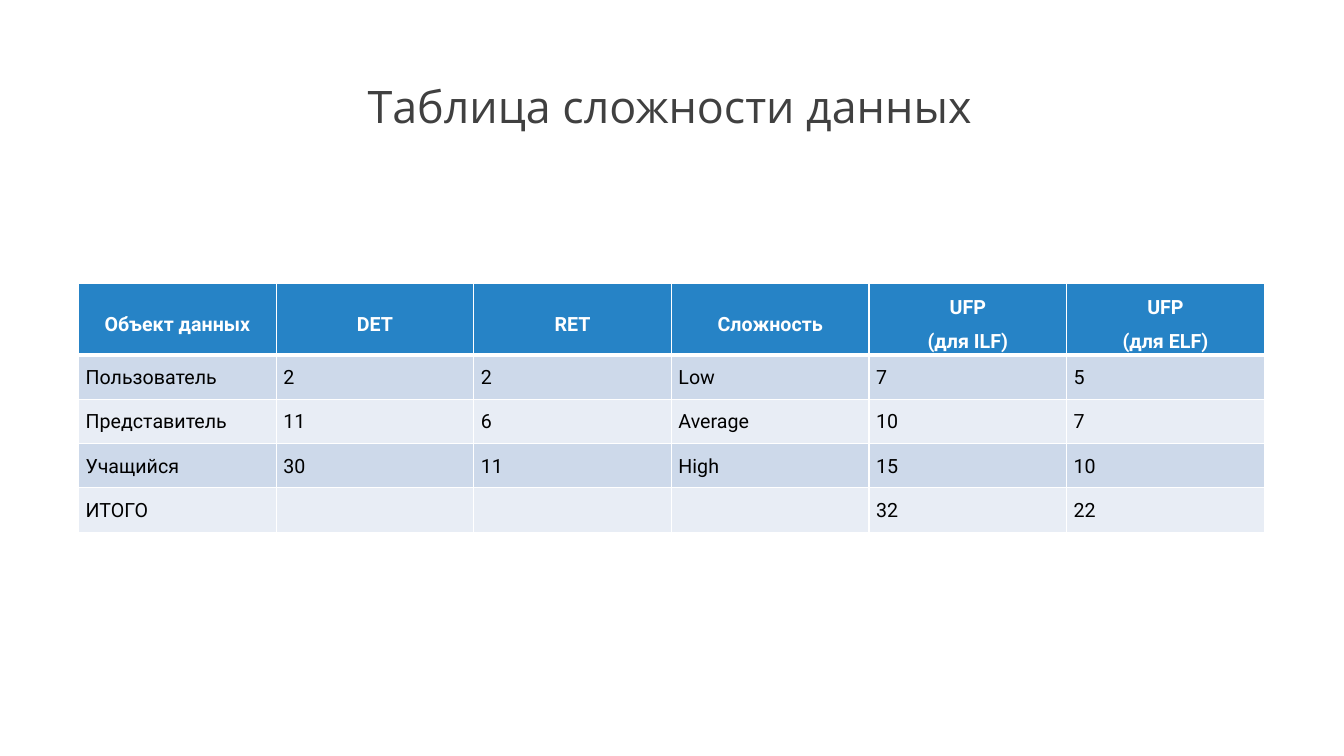
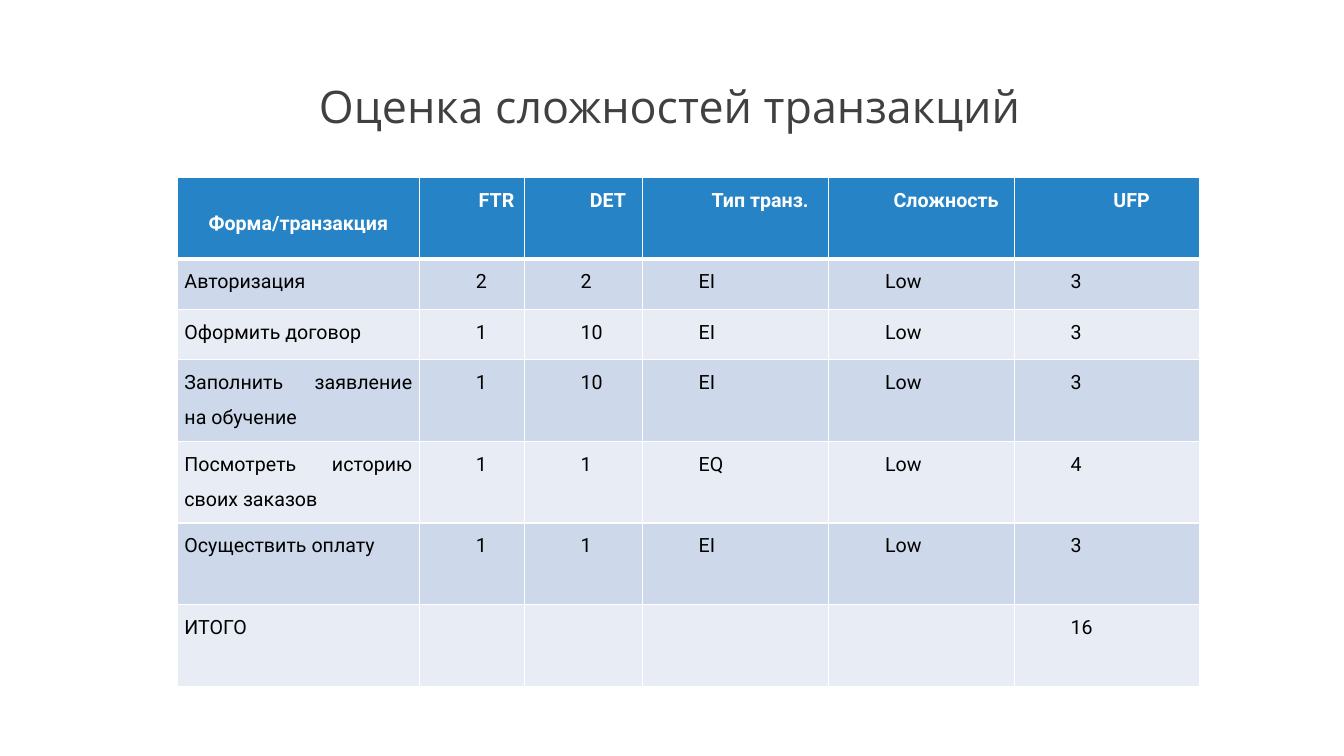
from dataclasses import dataclass

from lxml.etree import SubElement
from pptx import Presentation
from pptx.dml.color import RGBColor
from pptx.enum.text import MSO_ANCHOR, PP_ALIGN
from pptx.oxml.ns import qn
from pptx.util import Inches, Pt


@dataclass(frozen=True)
class Theme:
    title_color: str = "404040"
    header_fill: str = "2683C6"
    band_fills: tuple = ("CDD9EA", "E8EDF5")
    white: str = "FFFFFF"
    black: str = "000000"
    title_font: str = "Open Sans"
    table_font: str = "Roboto"
    title_size: int = 32
    table_size: int = 14
    thin_line: int = 1
    header_line: int = 3


THEME = Theme()
TITLE_BOX = (0.87, 0.13, 11.55, 1.24)
CELL_MARGIN = 0.07

DATA_ROWS = [
    ["Объект данных", "DET", "RET", "Сложность", "UFP\n(для ILF)", "UFP\n(для ELF)"],
    ["Пользователь", "2", "2", "Low", "7", "5"],
    ["Представитель", "11", "6", "Average", "10", "7"],
    ["Учащийся", "30", "11", "High", "15", "10"],
    ["ИТОГО", "", "", "", "32", "22"],
]

TRANSACTION_ROWS = [
    ["Форма/транзакция", "FTR", "DET", "Тип транз.", "Сложность", "UFP"],
    ["Авторизация", "2", "2", "EI", "Low", "3"],
    ["Оформить договор", "1", "10", "EI", "Low", "3"],
    ["Заполнить заявление на обучение", "1", "10", "EI", "Low", "3"],
    ["Посмотреть историю своих заказов", "1", "1", "EQ", "Low", "4"],
    ["Осуществить оплату", "1", "1", "EI", "Low", "3"],
    ["ИТОГО", "", "", "", "", "16"],
]


def write_text(text_frame, text, *, font, size, color, bold=False,
               align=PP_ALIGN.CENTER, line_spacing=1.5, indent=0):
    """Write one paragraph for each line of text."""
    for index, line in enumerate(text.split("\n")):
        paragraph = text_frame.add_paragraph() if index else text_frame.paragraphs[0]
        paragraph.alignment = align
        paragraph.line_spacing = line_spacing
        if indent:
            properties = paragraph._p.get_or_add_pPr()
            properties.set("marL", "0")
            properties.set("indent", str(Inches(indent)))
        run = paragraph.add_run()
        run.text = line
        run.font.name = font
        run.font.size = Pt(size)
        run.font.bold = bold
        run.font.color.rgb = RGBColor.from_string(color)


def set_borders(cell, **widths):
    """Draw white borders; the keywords are the sides L, R, T and B."""
    properties = cell._tc.get_or_add_tcPr()
    for side, width in widths.items():
        line = SubElement(properties, qn(f"a:ln{side}"), w=str(Pt(width)))
        fill = SubElement(line, qn("a:solidFill"))
        SubElement(fill, qn("a:srgbClr"), val=THEME.white)


def add_title(slide, text, box):
    shape = slide.shapes.add_textbox(*map(Inches, box))
    text_frame = shape.text_frame
    text_frame.word_wrap = True
    text_frame.vertical_anchor = MSO_ANCHOR.BOTTOM
    write_text(text_frame, text, font=THEME.title_font, size=THEME.title_size,
               color=THEME.title_color, line_spacing=0.9)


def format_cell(cell, text, row, column, indent):
    is_header = row == 0
    # Borders come before the fill in the cell properties
    set_borders(cell, L=THEME.thin_line, R=THEME.thin_line,
                T=THEME.header_line if row == 1 else THEME.thin_line,
                B=THEME.header_line if is_header else THEME.thin_line)
    cell.fill.solid()
    fill = THEME.header_fill if is_header else THEME.band_fills[(row - 1) % 2]
    cell.fill.fore_color.rgb = RGBColor.from_string(fill)
    cell.margin_left = cell.margin_right = Inches(CELL_MARGIN)
    cell.margin_top = cell.margin_bottom = 0

    # Indented cells stay at the top, other headers are centred
    cell_indent = indent if column else 0
    centred = is_header and not cell_indent
    cell.vertical_anchor = MSO_ANCHOR.MIDDLE if centred else MSO_ANCHOR.TOP
    if text:
        write_text(cell.text_frame, text, font=THEME.table_font,
                   size=THEME.table_size, bold=is_header, indent=cell_indent,
                   color=THEME.white if is_header else THEME.black,
                   align=PP_ALIGN.CENTER if is_header else PP_ALIGN.JUSTIFY)


def add_data_table(slide, rows, left, top, widths, heights, indent=0):
    frame = slide.shapes.add_table(
        len(rows), len(widths), Inches(left), Inches(top),
        Inches(sum(widths)), Inches(sum(heights)))
    table = frame.table
    for column, width in zip(table.columns, widths):
        column.width = Inches(width)
    for table_row, height in zip(table.rows, heights):
        table_row.height = Inches(height)
    for row, texts in enumerate(rows):
        for column, text in enumerate(texts):
            format_cell(table.cell(row, column), text, row, column, indent)


def add_table_slide(presentation, title, rows, **layout):
    slide = presentation.slides.add_slide(presentation.slide_layouts[6])
    add_title(slide, title, TITLE_BOX)
    add_data_table(slide, rows, **layout)


def main():
    presentation = Presentation()
    presentation.slide_width = Inches(13.33)
    presentation.slide_height = Inches(7.5)

    # Data complexity
    add_table_slide(presentation, "Таблица сложности данных", DATA_ROWS,
                    left=0.78, top=2.81, widths=[1.96] * 6,
                    heights=[0.71] + [0.44] * 4)

    # Transaction complexity
    add_table_slide(presentation, "Оценка сложностей транзакций", TRANSACTION_ROWS,
                    left=1.76, top=1.76,
                    widths=[2.4, 1.04, 1.17, 1.85, 1.84, 1.84],
                    heights=[0.81, 0.5, 0.5] + [0.81] * 4, indent=0.49)

    presentation.save("out.pptx")


if __name__ == "__main__":
    main()
